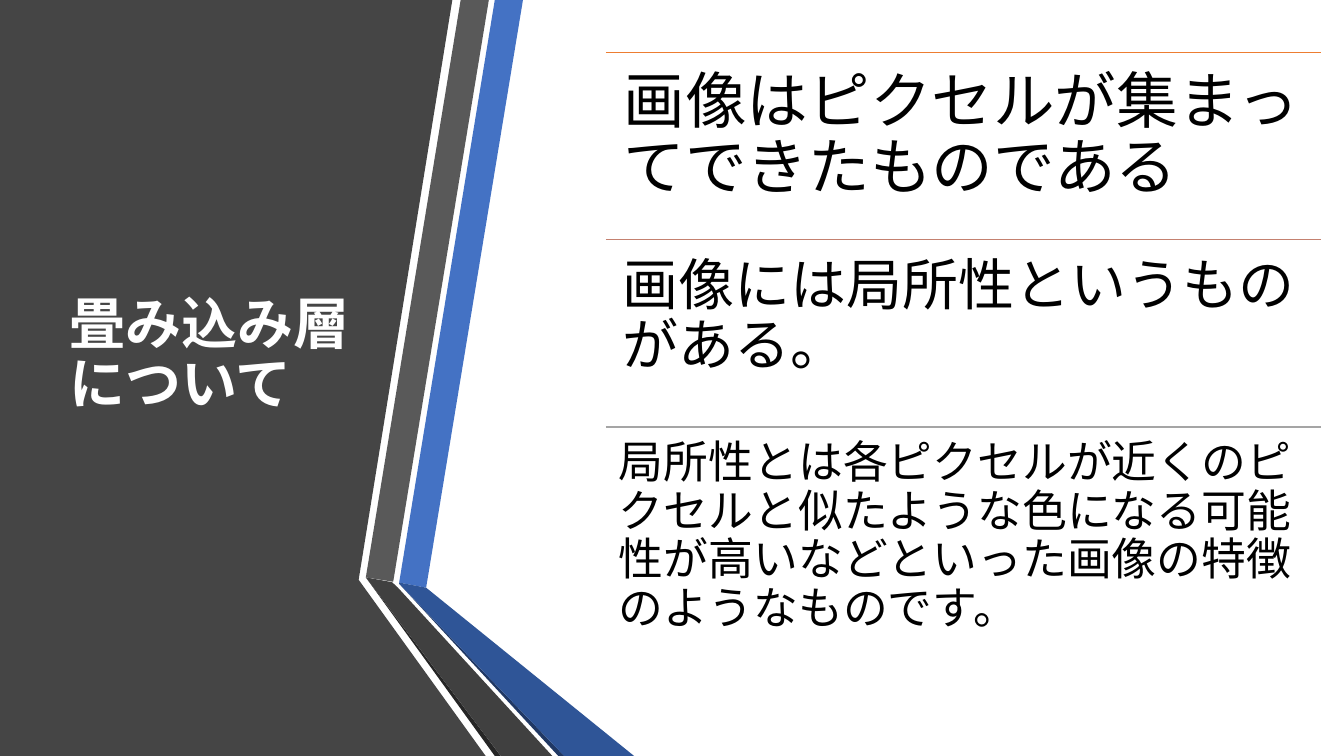
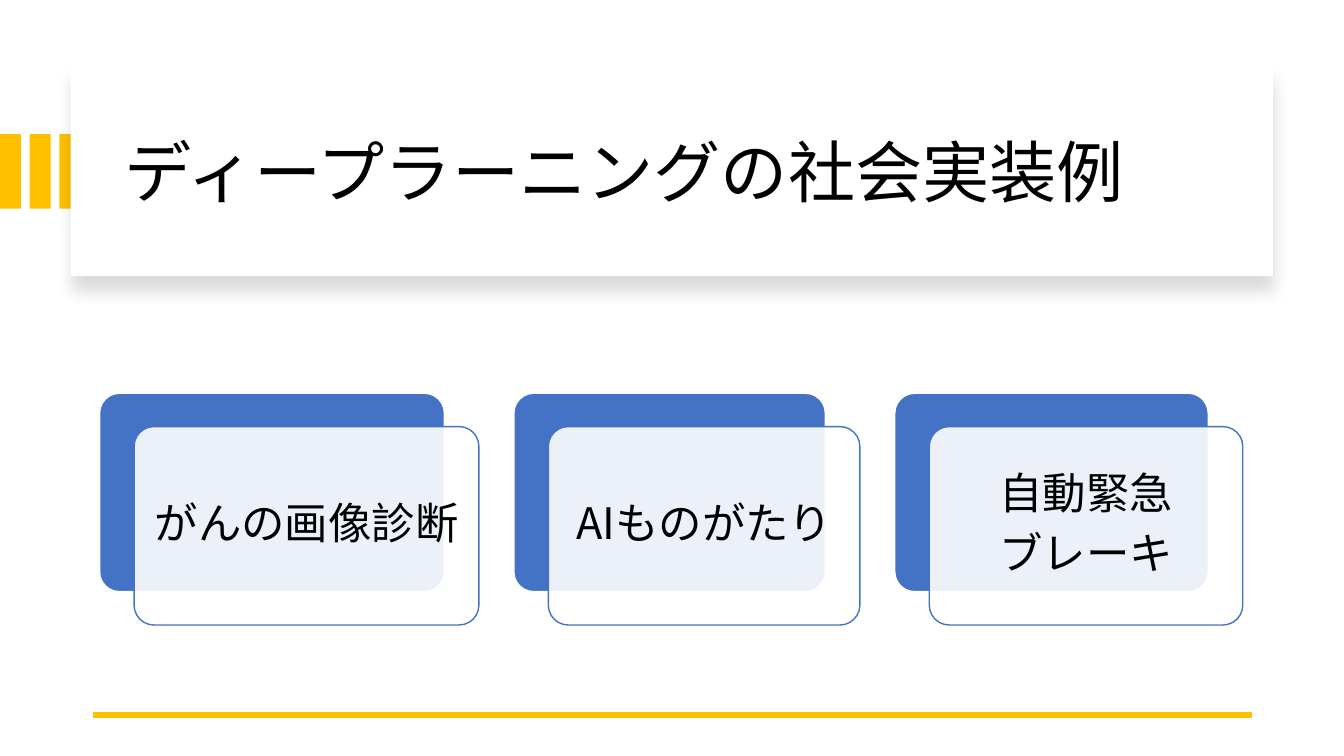
from dataclasses import dataclass

from lxml.etree import SubElement
from pptx import Presentation
from pptx.dml.color import RGBColor
from pptx.enum.shapes import MSO_CONNECTOR as Conn, MSO_SHAPE as Shape
from pptx.enum.text import MSO_ANCHOR as Anchor, PP_ALIGN as Align
from pptx.oxml.ns import qn
from pptx.util import Cm, Pt


@dataclass(frozen=True)
class Theme:
    font: str = "Noto Sans CJK JP"
    white: str = "FFFFFF"
    black: str = "000000"
    panel: str = "454545"
    gray: str = "595959"
    gray_dark: str = "404040"
    gray_edge: str = "262626"
    blue: str = "4472C4"
    blue_dark: str = "2F5597"
    blue_edge: str = "203864"
    gold: str = "FFC000"
    rules: tuple = ("ED7D31", "C48170", "A5A5A5")
    side_title: float = 40
    top_title: float = 48
    points: tuple = (44, 40, 32)
    card: float = 31
    line_spacing: float = 0.9
    hairline: float = 1
    thick: float = 4.5


class Deck:
    def __init__(self, theme, width, height):
        self.theme = theme
        self.prs = Presentation()
        self.prs.slide_width, self.prs.slide_height = Cm(width), Cm(height)
        self.slide = None

    def new_slide(self):
        self.slide = self.prs.slides.add_slide(self.prs.slide_layouts[6])

    def _paint(self, s, fill, line=None):
        s.shadow.inherit = False
        s.fill.solid()
        s.fill.fore_color.rgb = RGBColor.from_string(fill)
        if line:
            s.line.color.rgb = RGBColor.from_string(line)
            s.line.width = Pt(self.theme.hairline)
        else:
            s.line.fill.background()
        return s

    def box(self, x, y, w, h, fill, line=None, kind=Shape.RECTANGLE):
        s = self.slide.shapes.add_shape(kind, Cm(x), Cm(y), Cm(w), Cm(h))
        return self._paint(s, fill, line)

    def round_box(self, x, y, w, h, fill, line, alpha=100):
        s = self.box(x, y, w, h, fill, line, Shape.ROUNDED_RECTANGLE)
        s.adjustments[0] = 0.1
        if alpha < 100:
            clr = s.fill._xPr.find(qn("a:solidFill"))[0]
            SubElement(clr, qn("a:alpha"), val=str(alpha * 1000))

    def shadow_box(self, x, y, w, h, fill):
        s = self.box(x, y, w, h, fill)
        effects = s._element.spPr.find(qn("a:effectLst"))
        shadow = SubElement(effects, qn("a:outerShdw"), blurRad=str(Pt(11)),
                            dist=str(Pt(10)), dir="5400000", rotWithShape="0")
        clr = SubElement(shadow, qn("a:srgbClr"), val=self.theme.black)
        SubElement(clr, qn("a:alpha"), val="15000")

    def outline(self, fill, *points):
        corners = [(Cm(x), Cm(y)) for x, y in points]
        builder = self.slide.shapes.build_freeform(*corners[0])
        builder.add_line_segments(corners[1:], close=True)
        self._paint(builder.convert_to_shape(), fill)

    def rule(self, x1, x2, y, color, width):
        s = self.slide.shapes.add_connector(
            Conn.STRAIGHT, Cm(x1), Cm(y), Cm(x2), Cm(y))
        s.line.color.rgb = RGBColor.from_string(color)
        s.line.width = Pt(width)
        SubElement(s._element.spPr, qn("a:effectLst"))

    def text(self, x, y, w, h, text, size, color=None, bold=False,
             inset=0.33, anchor=Anchor.TOP, align=Align.LEFT, after=0.3):
        s = self.slide.shapes.add_textbox(Cm(x), Cm(y), Cm(w), Cm(h))
        tf = s.text_frame
        tf.word_wrap = True
        tf.vertical_anchor = anchor
        tf.margin_left = tf.margin_right = Cm(inset)
        tf.margin_top = tf.margin_bottom = Cm(inset)
        tf.text = text
        for p in tf.paragraphs:
            p.alignment = align
            p.line_spacing = self.theme.line_spacing
            p.space_after = Pt(size * after)
            for r in p.runs:
                r.font.size, r.font.bold = Pt(size), bold
                r.font.name = self.theme.font
                r.font.color.rgb = RGBColor.from_string(color or self.theme.black)
                SubElement(r.font._element, qn("a:ea"), typeface=self.theme.font)

    def title(self, x, y, w, h, text, size, color=None, bold=False):
        self.text(x, y, w, h, text, size, color, bold,
                  inset=0.25, anchor=Anchor.MIDDLE, after=0)

    def card(self, x, y, w, h, text):
        t = self.theme
        dx, dy, pad = 0.87, 0.84, 0.14
        self.round_box(x, y, w, h, t.blue, t.white)
        self.round_box(x + dx, y + dy, w, h, t.white, t.blue, alpha=90)
        self.text(x + dx + pad, y + dy + pad, w - 2 * pad, h - 2 * pad, text,
                  t.card, anchor=Anchor.MIDDLE, align=Align.CENTER)


def convolution_slide(deck):
    t = deck.theme
    bottom = 19.05
    deck.new_slide()
    deck.outline(t.panel, (0, 0), (11.4, 0), (9.04, 14.61),
                 (12.24, bottom), (0, bottom))
    deck.outline(t.blue, (10.06, 14.68), (10.74, 14.81), (13.18, 0), (12.47, 0))
    deck.outline(t.gray, (12.32, 0), (11.61, 0), (9.22, 14.55), (9.91, 14.66))
    deck.outline(t.gray_edge, (9.22, 14.55), (12.47, bottom), (12.62, bottom))
    deck.outline(t.blue_edge, (10.06, 14.71), (14.07, bottom), (14.22, bottom))
    deck.outline(t.blue_dark, (10.06, 14.71), (14.22, bottom), (15.98, bottom),
                 (10.74, 14.81), (10.06, 14.68))
    deck.outline(t.gray_dark, (13.92, bottom), (10.03, 14.81), (9.88, 14.67),
                 (9.22, 14.55), (12.62, bottom))
    deck.title(1.5, 1.9, 7.72, 14.17, "畳み込み層について",
               t.side_title, t.white, bold=True)

    points = ("画像はピクセルが集まってできたものである",
              "画像には局所性というものがある。",
              "局所性とは各ピクセルが近くのピクセルと似たような色になる"
              "可能性が高いなどといった画像の特徴のようなものです。")
    insets = (0.45, 0.43, 0.33)
    left, top, width, pitch = 15.27, 1.32, 18.03, 4.72
    for i, (point, size, color, inset) in enumerate(
            zip(points, t.points, t.rules, insets)):
        y = top + i * pitch
        deck.rule(left, left + width, y, color, t.hairline)
        deck.text(left, y, width, pitch, point, size, inset=inset)


def applications_slide(deck):
    t = deck.theme
    deck.new_slide()
    for i in range(3):
        deck.box(i * 0.75, 3.38, 0.53, 1.88, t.gold)
    deck.shadow_box(1.78, 1.7, 30.3, 5.26, t.white)
    deck.title(2.9, 2.26, 28.27, 4.32, "ディープラーニングの社会実装例", t.top_title)
    deck.rule(31.55, 2.34, 18.01, t.gold, t.thick)

    cards = (("がんの画像診断", 8.69), ("AIものがたり", 7.85),
             ("自動緊急\nブレーキ", 7.9))
    x, gap = 2.51, 1.75
    for text, width in cards:
        deck.card(x, 9.91, width, 5, text)
        x += width + gap


deck = Deck(Theme(), 33.87, 19.05)
convolution_slide(deck)
applications_slide(deck)
deck.prs.save("out.pptx")
